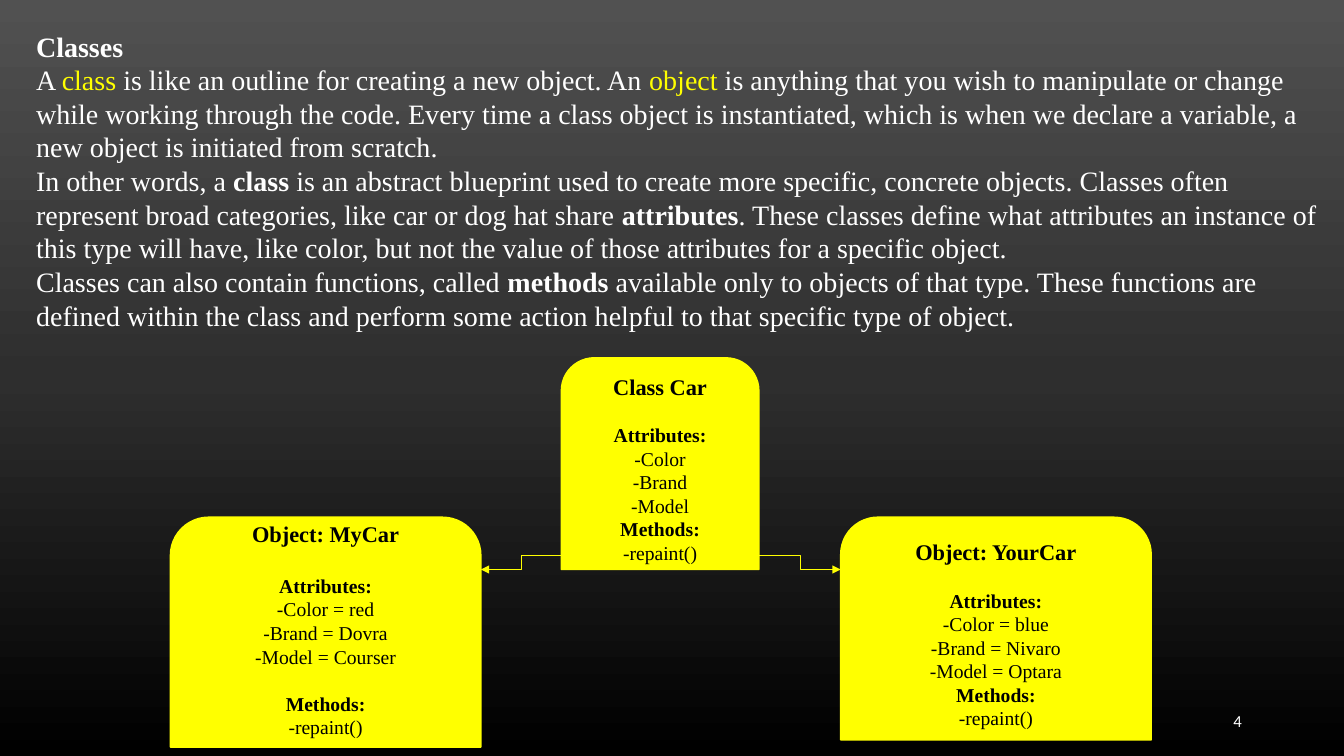
from lxml.etree import SubElement
from pptx import Presentation
from pptx.dml.color import RGBColor
from pptx.enum.shapes import MSO_CONNECTOR as CONN, MSO_SHAPE as SHAPE
from pptx.enum.text import MSO_ANCHOR as ANCHOR, PP_ALIGN as ALIGN
from pptx.oxml.ns import qn
from pptx.util import Pt

COLORS = {"white": "FFFFFF", "yellow": "FFFF00", "black": "000000",
          "top": "515151", "middle": "2E2E2E"}
SERIF = "Times New Roman"


def rgb(name):
    return RGBColor.from_string(COLORS[name])


def set_font(font, size, color, bold=False, name=SERIF):
    font.name = name
    font.size = Pt(size)
    font.bold = bold
    font.color.rgb = rgb(color)


prs = Presentation()
prs.slide_width, prs.slide_height = Pt(960), Pt(540)
s = prs.slides.add_slide(prs.slide_layouts[6])

fill = s.background.fill
fill.gradient()
grad = fill._fill._gradFill
stops = grad.find(qn("a:gsLst"))
for stop in list(stops):
    stops.remove(stop)
for pos, color in ((0, "top"), (50000, "middle"), (100000, "black")):
    stop = SubElement(stops, qn("a:gs"), pos=str(pos))
    SubElement(stop, qn("a:srgbClr"), val=COLORS[color])
fill.gradient_angle = 270

tf = s.shapes.add_textbox(Pt(678.2), Pt(500.4), Pt(216), Pt(28.8)).text_frame
tf.word_wrap = True
tf.vertical_anchor = ANCHOR.MIDDLE
p = tf.paragraphs[0]
p.text = "4"
p.alignment = ALIGN.RIGHT
set_font(p.font, 12, "white", name="Calibri")

body = [
    [("Classes", "bold")],
    [("A ", ""), ("class", "yellow"),
     (" is like an outline for creating a new object. An ", ""), ("object", "yellow"),
     (" is anything that you wish to manipulate or change while working through the code. "
      "Every time a class object is instantiated, which is when we declare a variable, "
      "a new object is initiated from scratch.", "")],
    [("In other words, a ", ""), ("class", "bold"),
     (" is an abstract blueprint used to create more specific, concrete objects. "
      "Classes often represent broad categories, like car or dog hat share ", ""),
     ("attributes", "bold"),
     (". These classes define what attributes an instance of this type will have, "
      "like color, but not the value of those attributes for a specific object.", "")],
    [("Classes can also contain functions, called ", ""), ("methods", "bold"),
     (" available only to objects of that type. These functions are defined within "
      "the class and perform some action helpful to that specific type of object.", "")],
]
tf = s.shapes.add_textbox(Pt(18.7), Pt(17.3), Pt(933.8), Pt(225.4)).text_frame
tf.word_wrap = True
for i, runs in enumerate(body):
    p = tf.add_paragraph() if i else tf.paragraphs[0]
    for text, style in runs:
        r = p.add_run()
        r.text = text
        set_font(r.font, 20, "yellow" if style == "yellow" else "white", style == "bold")

boxes = [
    ("Object: YourCar", (600.5, 369.4, 221.8, 159.1),
     ["-Color = blue", "-Brand = Nivaro", "-Model = Optara"], 16.8, 0, 3.6),
    ("Object: MyCar", (121.7, 369.4, 221.8, 164.2),
     ["-Color = red", "-Brand = Dovra", "-Model = Courser"], 19.2, 16.8, 15.6),
    ("Class Car", (401, 255.6, 141.1, 151.2),
     ["-Color", "-Brand", "-Model"], 16.8, 0, 3.6),
]
for title, place, attributes, title_gap, methods_gap, bottom in boxes:
    sp = s.shapes.add_shape(SHAPE.ROUND_2_SAME_RECTANGLE, *map(Pt, place))
    sp.shadow.inherit = False
    sp.fill.solid()
    sp.fill.fore_color.rgb = rgb("yellow")
    sp.line.color.rgb = rgb("yellow")
    sp.line.width = Pt(1)
    tf = sp.text_frame
    tf.word_wrap = True
    tf.vertical_anchor = ANCHOR.MIDDLE
    tf.margin_bottom = Pt(bottom)
    gaps = {"Attributes:": title_gap, "Methods:": methods_gap}
    lines = [title, "Attributes:", *attributes, "Methods:", "-repaint()"]
    for i, text in enumerate(lines):
        p = tf.add_paragraph() if i else tf.paragraphs[0]
        p.text = text
        p.alignment = ALIGN.CENTER
        p.space_before = Pt(gaps.get(text, 0))
        set_font(p.font, 14 if i else 16, "black", not text.startswith("-"))

for start, end in ((401, 343.5), (542.5, 600.5)):
    line = s.shapes.add_connector(CONN.ELBOW, Pt(start), Pt(396.7), Pt(end), Pt(406.8))
    line.line.color.rgb = rgb("yellow")
    line.line.width = Pt(0.5)
    SubElement(line.line._get_or_add_ln(), qn("a:tailEnd"), type="triangle")
    SubElement(line._element.spPr, qn("a:effectLst"))

prs.save("out.pptx")
